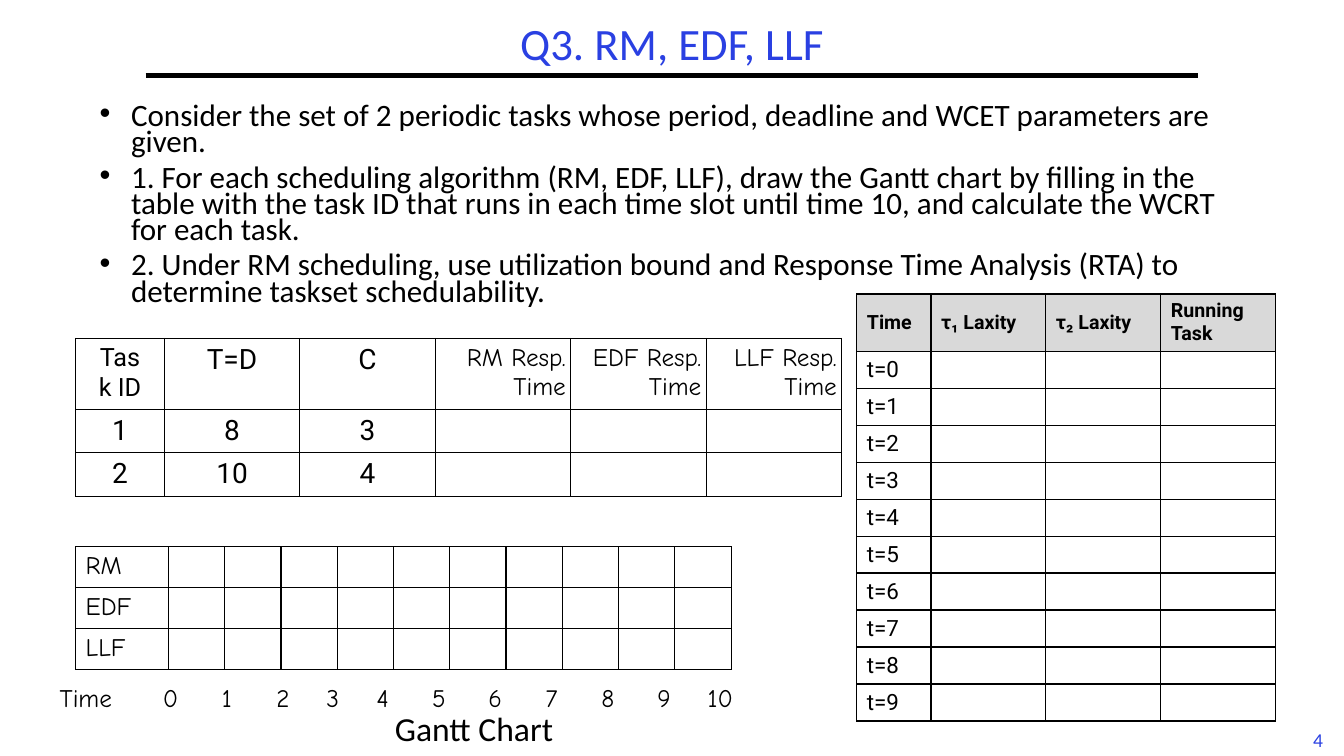
from lxml import etree
from pptx import Presentation
from pptx.dml.color import RGBColor
from pptx.enum import shapes, text
from pptx.oxml import ns
from pptx.util import Pt

BLACK = RGBColor(0x00, 0x00, 0x00)
BLUE = RGBColor(0x2A, 0x40, 0xE2)
GRAY = RGBColor(0xD9, 0xD9, 0xD9)
LEFT, CENTER, RIGHT = text.PP_ALIGN.LEFT, text.PP_ALIGN.CENTER, text.PP_ALIGN.RIGHT
NO_TABLE_STYLE = "{2D5ABB26-0587-4C30-8999-92F81FD0307C}"

presentation = Presentation()
presentation.slide_width, presentation.slide_height = Pt(960), Pt(540)
slide = presentation.slides.add_slide(presentation.slide_layouts[6])


def add_text(box, lines, size, color=BLACK, align=LEFT, spacing=1.0, bullet=None):
    left, top, width, height = map(Pt, box)
    frame = slide.shapes.add_textbox(left, top, width, height).text_frame
    frame.word_wrap = True
    for index, line in enumerate(lines):
        paragraph = frame.paragraphs[0] if index == 0 else frame.add_paragraph()
        paragraph.text = line
        paragraph.alignment = align
        paragraph.line_spacing = spacing
        if index:
            paragraph.space_before = Pt(6.7)
        if bullet:
            properties = paragraph._p.get_or_add_pPr()
            properties.set("marL", str(Pt(22.5)))
            properties.set("indent", str(-Pt(22.5)))
            etree.SubElement(properties, ns.qn("a:buFont")).set("typeface", "Arial")
            etree.SubElement(properties, ns.qn("a:buChar")).set("char", bullet)
        paragraph.font.name = "Calibri"
        paragraph.font.size = Pt(size)
        paragraph.font.color.rgb = color
    return frame


def add_grid(left, top, widths, heights, rows, style, border=True):
    """Add a table; style(row, column) gives font, size, bold, alignment, side margin."""
    table = slide.shapes.add_table(
        len(heights), len(widths), Pt(left), Pt(top), Pt(sum(widths)), Pt(sum(heights))
    ).table
    table.first_row = table.horz_banding = False
    table._tbl.tblPr.find(ns.qn("a:tableStyleId")).text = NO_TABLE_STYLE
    for column, width in zip(table.columns, widths):
        column.width = Pt(width)
    for r, height in enumerate(heights):
        table.rows[r].height = Pt(height)
        for c in range(len(widths)):
            cell = table.cell(r, c)
            font_name, size, bold, align, margin = style(r, c)
            cell.margin_left = cell.margin_right = Pt(margin)
            if border:
                for side in ("lnL", "lnR", "lnT", "lnB"):
                    line = etree.SubElement(cell._tc.get_or_add_tcPr(), ns.qn(f"a:{side}"), w=str(Pt(1)))
                    fill = etree.SubElement(line, ns.qn("a:solidFill"))
                    etree.SubElement(fill, ns.qn("a:srgbClr"), val=str(BLACK))
            cell.fill.background()
            paragraph = cell.text_frame.paragraphs[0]
            if c < len(rows[r]):
                paragraph.text = rows[r][c]
                paragraph.alignment = align
                paragraph.font.name = font_name
                paragraph.font.size = Pt(size)
                paragraph.font.bold = bold
                paragraph.font.color.rgb = BLACK
            else:
                paragraph._p.get_or_add_endParaRPr().set("sz", "1200")
    return table


# Title and rule
title = add_text((104, 12, 752, 42), ["Q3. RM, EDF, LLF"], 32, BLUE, CENTER, 0.9)
title.vertical_anchor = text.MSO_ANCHOR.MIDDLE
rule = slide.shapes.add_connector(shapes.MSO_CONNECTOR.STRAIGHT, Pt(104), Pt(54), Pt(856), Pt(54))
rule.line.color.rgb = BLACK
rule.line.width = Pt(3)
etree.SubElement(rule._element.spPr, ns.qn("a:effectLst"))

# Gantt chart grid with its time axis
SLOT = 40.2
add_grid(54, 390.5, [66.3] + [SLOT] * 10, [29.3] * 3, [["RM"], ["EDF"], ["LLF"]],
         lambda r, c: ("Comic Neue", 18, False, LEFT, 7.2))
time_widths = [66.3] + [SLOT] * 11
time_widths[4] = 31
add_grid(35.4, 485.3, time_widths, [29.3], [["Time"] + [str(t) for t in range(11)]],
         lambda r, c: ("Comic Neue", 18, False, CENTER if c else LEFT, 7.2), border=False)
add_text((275, 507.6, 132, 31), ["Gantt Chart"], 24, spacing=0.8)


# Task parameters and response times
def task_style(row, column):
    if column > 2:
        return "Comic Neue", 18, False, RIGHT, 3.6
    return "Roboto", 18 if row == column == 0 else 20, False, CENTER, 13.7


tasks = [
    ["Task ID", "T=D", "C"] + [f"{name} Resp. Time" for name in ("RM", "EDF", "LLF")],
    ["1", "8", "3"],
    ["2", "10", "4"],
]
add_grid(54, 241.8, [63.4] + [96.8] * 5, [49.3, 30.7, 30.7], tasks, task_style)

# Laxity worksheet
laxity_rows = [["Time", "τ₁ Laxity", "τ₂ Laxity", "Running Task"]] + [[f"t={t}"] for t in range(10)]
laxity = add_grid(612, 210, [53] + [82.1] * 3, [40.2] + [25.85] * 10, laxity_rows,
                  lambda r, c: ("Roboto", 16 if r else 14, r == 0, LEFT, 7.2))
for cell in laxity.iter_cells():
    cell.vertical_anchor = text.MSO_ANCHOR.MIDDLE
for cell in laxity.rows[0].cells:
    cell.fill.solid()
    cell.fill.fore_color.rgb = GRAY

# Question
add_text((64, 72, 832, 156), [
    "Consider the set of 2 periodic tasks whose period, deadline and WCET parameters are given.",
    "1. For each scheduling algorithm (RM, EDF, LLF), draw the Gantt chart by filling in the table "
    "with the task ID that runs in each time slot until time 10, and calculate the WCRT for each task.",
    "2. Under RM scheduling, use utilization bound and Response Time Analysis (RTA) to determine "
    "taskset schedulability.",
], 22.2, spacing=0.7, bullet="•")

# Slide number
add_text((926, 516.2, 31, 24), ["4"], 14, BLUE, CENTER)

presentation.save("out.pptx")
